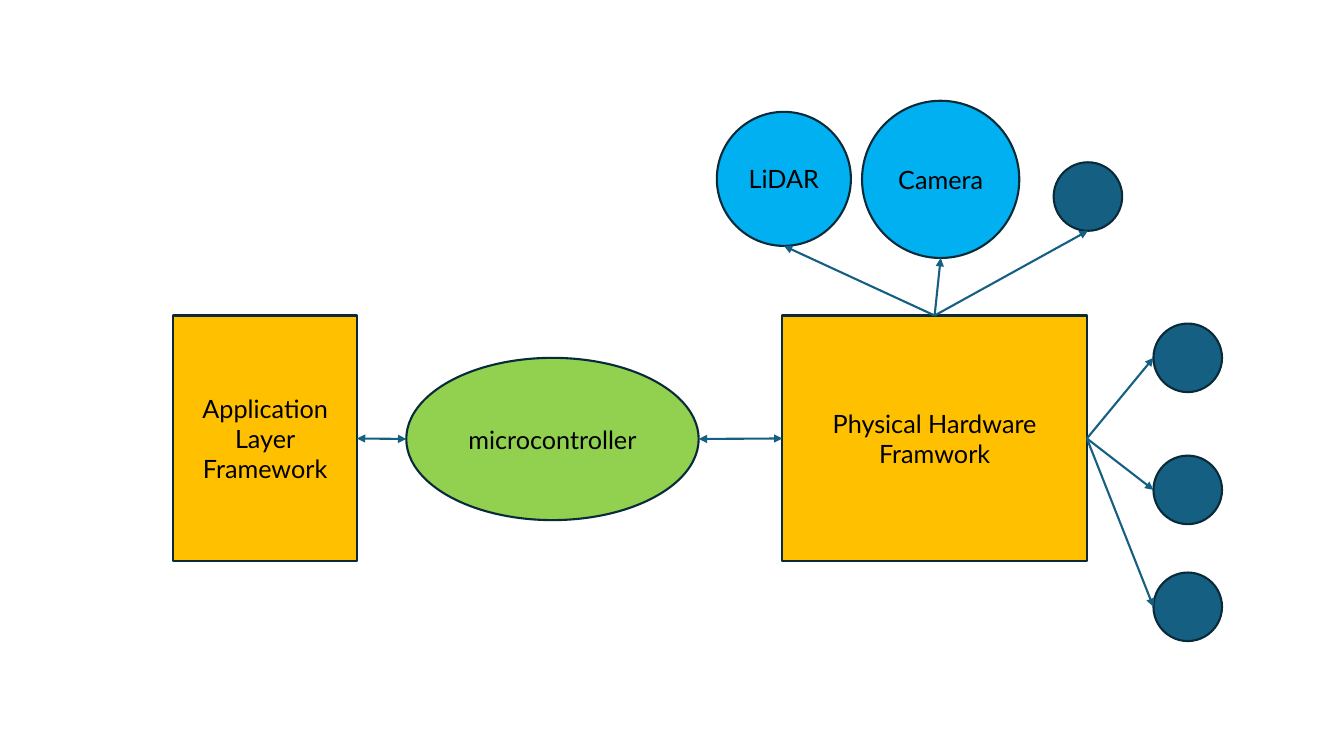
"""Build a block diagram of a robot's software and hardware layers."""
from dataclasses import dataclass

from pptx import Presentation
from pptx.dml.color import RGBColor
from pptx.enum.shapes import MSO_CONNECTOR as CONN, MSO_SHAPE as SHAPE
from pptx.enum.text import MSO_ANCHOR as ANCHOR, PP_ALIGN as ALIGN
from pptx.oxml.ns import qn
from pptx.shapes.autoshape import Shape
from pptx.slide import Slide
from pptx.util import Inches, Pt
from lxml.etree import SubElement

FONT = "Lato"
OUTLINE, TEAL, AMBER, GREEN, SKY = "092A39", "156082", "FFC000", "92D050", "00B0F0"
TOP, LEFT, BOTTOM, RIGHT = range(4)
DOT = 0.68


@dataclass(frozen=True)
class Node:
    x: float
    y: float
    w: float
    h: float
    fill: str
    lines: tuple[str, ...] = ()
    kind: SHAPE = SHAPE.OVAL

    def side(self, index: int) -> tuple[float, float]:
        """Return the middle of one side."""
        cx, cy = self.x + self.w / 2, self.y + self.h / 2
        return ((cx, self.y), (self.x, cy), (cx, self.y + self.h), (self.x + self.w, cy))[index]


@dataclass(frozen=True)
class Link:
    box: str
    box_side: int
    target: str
    target_side: int
    two_way: bool = False


NODES = {
    "application": Node(1.72, 3.13, 1.82, 2.44, AMBER, ("Application Layer", "Framework"), SHAPE.RECTANGLE),
    "hardware": Node(7.76, 3.13, 3.02, 2.44, AMBER, ("Physical Hardware Framwork",), SHAPE.RECTANGLE),
    "microcontroller": Node(4.03, 3.55, 2.9, 1.61, GREEN, ("microcontroller",)),
    "lidar": Node(7.11, 1.11, 1.33, 1.33, SKY, ("LiDAR",)),
    "camera": Node(8.55, 1, 1.56, 1.56, SKY, ("Camera",)),
    "sensor": Node(10.45, 1.61, DOT, DOT, TEAL),
}
ACTUATORS = {f"actuator {i}": Node(11.44, y, DOT, DOT, TEAL) for i, y in enumerate((3.21, 4.52, 5.68), 1)}
NODES |= ACTUATORS

LINKS = [
    Link("application", RIGHT, "microcontroller", LEFT, True),
    Link("hardware", LEFT, "microcontroller", RIGHT, True),
    *(Link("hardware", TOP, name, BOTTOM) for name in ("lidar", "camera", "sensor")),
    *(Link("hardware", RIGHT, name, LEFT) for name in ACTUATORS),
]


def rgb(value: str) -> RGBColor:
    """Turn a hex string into a colour."""
    return RGBColor.from_string(value)


def add_node(slide: Slide, node: Node) -> Shape:
    """Draw a node with its centred label."""
    sp = slide.shapes.add_shape(node.kind, *map(Inches, (node.x, node.y, node.w, node.h)))
    sp.shadow.inherit = False
    sp.fill.solid()
    sp.fill.fore_color.rgb = rgb(node.fill)
    sp.line.color.rgb = rgb(OUTLINE)
    sp.line.width = Pt(1.5)
    tf = sp.text_frame
    tf.word_wrap = True
    tf.vertical_anchor = ANCHOR.MIDDLE
    for i, line in enumerate(node.lines):
        p = tf.add_paragraph() if i else tf.paragraphs[0]
        p.alignment = ALIGN.CENTER
        r = p.add_run()
        r.text = line
        r.font.name, r.font.size = FONT, Pt(18)
        r.font.color.rgb = rgb("000000")
    return sp


def add_link(slide: Slide, link: Link, shapes: dict[str, Shape]) -> None:
    """Draw an arrow from a rectangle to its target."""
    start = NODES[link.box].side(link.box_side)
    end = NODES[link.target].side(link.target_side)
    line = slide.shapes.add_connector(CONN.STRAIGHT, *map(Inches, start + end))
    line.begin_connect(shapes[link.box], link.box_side)
    line.line.color.rgb = rgb(TEAL)
    line.line.width = Pt(1.5)
    ln = line.line._get_or_add_ln()
    for tag in ("a:headEnd", "a:tailEnd") if link.two_way else ("a:tailEnd",):
        SubElement(ln, qn(tag), type="triangle")
    SubElement(line._element.spPr, qn("a:effectLst"))


def main() -> None:
    """Build and save the slide."""
    prs = Presentation()
    prs.slide_width, prs.slide_height = Inches(13.33), Inches(7.5)
    slide = prs.slides.add_slide(prs.slide_layouts[6])
    shapes = {name: add_node(slide, node) for name, node in NODES.items()}
    for link in LINKS:
        add_link(slide, link, shapes)
    prs.save("out.pptx")


if __name__ == "__main__":
    main()
